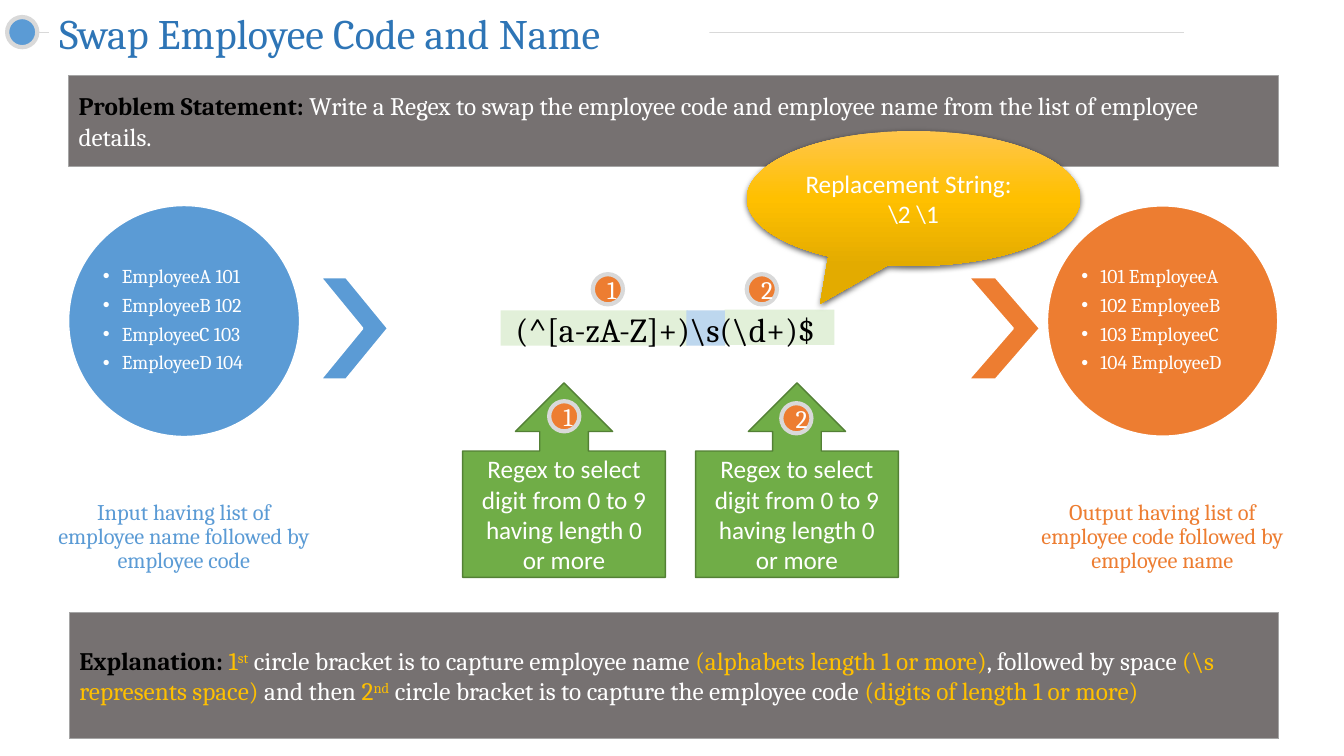
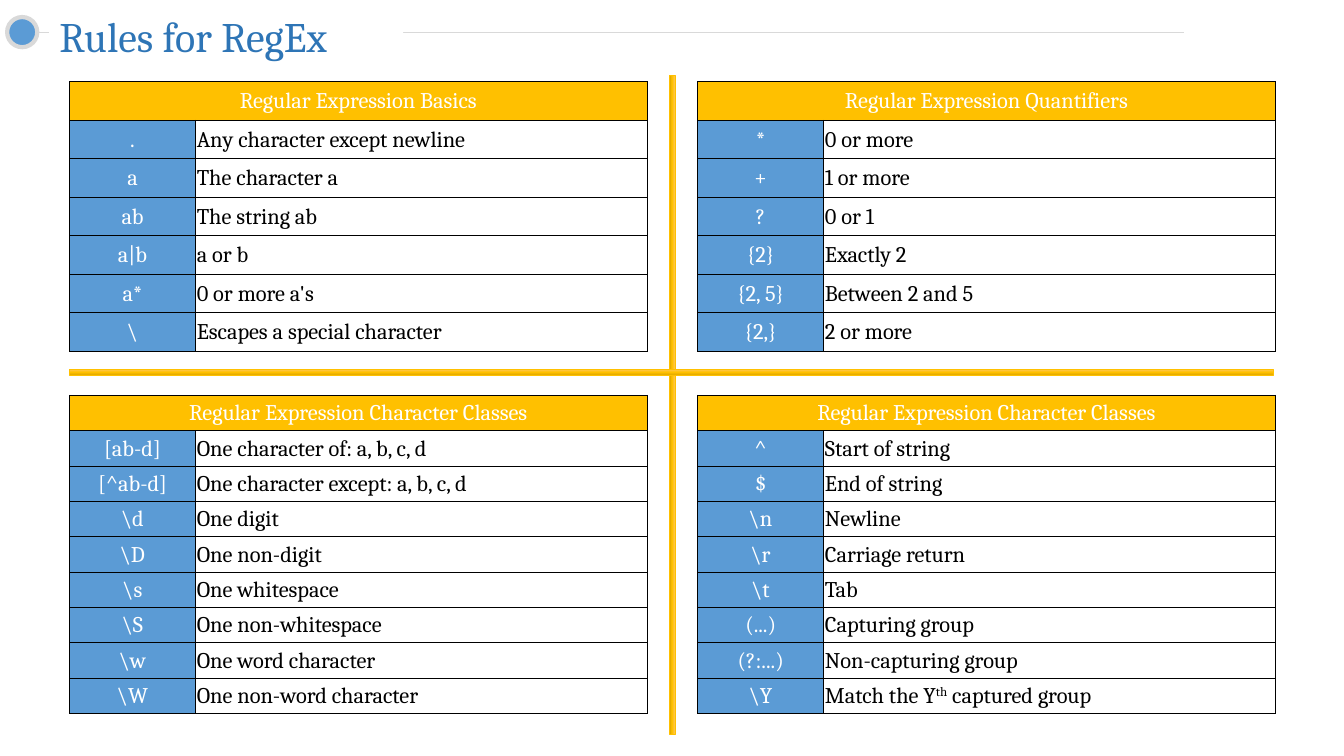
from copy import deepcopy

from lxml import etree
from pptx import Presentation
from pptx import util as u
from pptx.dml import color as dml
from pptx.enum import shapes, text
from pptx.oxml import ns

Cm, Pt = u.Cm, u.Pt
KIND, ALIGN, ANCHOR = shapes.MSO_SHAPE, text.PP_ALIGN, text.MSO_ANCHOR

COLORS = {
    "white": "FFFFFF", "black": "000000", "title": "2E75B6", "rule": "D9D9D9",
    "blue": "5B9BD5", "orange": "ED7D31", "gold": "FFC000", "green": "70AD47",
    "dark green": "538035", "band": "767171", "band line": "A5A5A5",
    "pale green": "E2F0D9", "pale blue": "BDD7EE",
    "light gold": "FFC64B", "deep gold": "E3AB00",
}
GOLD_STOPS = ((0, "light gold"), (0.5, "gold"), (1, "deep gold"))

BASICS = [(".", "Any character except newline"), ("a", "The character a"),
          ("ab", "The string ab"), ("a|b", "a or b"), ("a*", "0 or more a's"),
          ("\\", "Escapes a special character")]
QUANTIFIERS = [("*", "0 or more"), ("+", "1 or more"), ("?", "0 or 1"),
               ("{2}", "Exactly 2"), ("{2, 5}", "Between 2 and 5"), ("{2,}", "2 or more")]
CLASSES = [("[ab-d]", "One character of: a, b, c, d"),
           ("[^ab-d]", "One character except: a, b, c, d"),
           ("\\d", "One digit"), ("\\D", "One non-digit"),
           ("\\s", "One whitespace"), ("\\S", "One non-whitespace"),
           ("\\w", "One word character"), ("\\W", "One non-word character")]
ANCHORS = [("^", "Start of string"), ("$", "End of string"), ("\\n", "Newline"),
           ("\\r", "Carriage return"), ("\\t", "Tab"), ("(...)", "Capturing group"),
           ("(?:...)", "Non-capturing group"),
           ("\\Y", [("Match the Y", "black", ""), ("th", "black", "sup"),
                    (" captured group", "black", "")])]


def rgb(name):
    return dml.RGBColor.from_string(COLORS[name])


def put(obj, **values):
    for name, value in values.items():
        setattr(obj, name, value)


def cm(*lengths):
    return [Cm(v) for v in lengths]


class Deck:
    """Holds the shared style and the current slide, and draws elements on it."""

    def __init__(self):
        self.prs = Presentation()
        put(self.prs, slide_width=Cm(33.87), slide_height=Cm(19.05))
        self.s = None

    def slide(self, layout, title, box):
        self.s = self.prs.slides.add_slide(self.prs.slide_layouts[layout])
        self.rule()
        self.shape(KIND.OVAL, (0.18, 0.43, 0.76, 0.76), "blue", "rule", 3)
        sp = self.place(self.s.shapes.title, box)
        sp.fill.solid()
        sp.fill.fore_color.rgb = rgb("white")
        self.fill_text(sp.text_frame, [title], 30, "title", anchor=ANCHOR.TOP)

    def place(self, sp, box):
        put(sp, **dict(zip(("left", "top", "width", "height"), cm(*box))))
        sp.element.getparent().append(sp.element)
        return sp

    def rule(self):
        line = self.s.shapes.add_connector(
            shapes.MSO_CONNECTOR.STRAIGHT, *cm(0.81, 0.81, 29.85, 0.81))
        line.line.color.rgb = rgb("rule")
        line.line.width = Pt(0.5)
        etree.SubElement(line.element.spPr, ns.qn("a:effectLst"))

    def shape(self, kind, box, fill, line=None, width=1):
        sp = self.s.shapes.add_shape(kind, *cm(*box))
        sp.shadow.inherit = False
        if fill:
            sp.fill.solid()
            sp.fill.fore_color.rgb = rgb(fill)
        if line:
            sp.line.color.rgb = rgb(line)
            sp.line.width = Pt(width)
        else:
            sp.line.fill.background()
        return sp

    def gold(self, kind, box, angle, line=None):
        sp = self.shape(kind, box, None, line, 0.5)
        sp.fill.gradient()
        sp.fill.gradient_angle = angle
        stops = sp.element.spPr.find(".//" + ns.qn("a:gsLst"))
        stops.append(deepcopy(stops[0]))
        for stop, (position, name) in zip(sp.fill.gradient_stops, GOLD_STOPS):
            stop.color.rgb = rgb(name)
            stop.position = position
        return sp

    def drop_shadow(self, sp):
        effects = sp.element.spPr.find(ns.qn("a:effectLst"))
        shadow = etree.SubElement(effects, ns.qn("a:outerShdw"), blurRad=str(Pt(4.5)),
                                  dist=str(Pt(1.5)), dir="5400000", rotWithShape="0")
        tint = etree.SubElement(shadow, ns.qn("a:srgbClr"), val=COLORS["black"])
        etree.SubElement(tint, ns.qn("a:alpha"), val="63000")

    def fill_text(self, tf, paragraphs, size, color, font="Cambria", align=ALIGN.LEFT,
                  anchor=ANCHOR.MIDDLE, margin=None, **spacing):
        put(tf, word_wrap=True, auto_size=text.MSO_AUTO_SIZE.NONE, vertical_anchor=anchor)
        if margin is not None:
            put(tf, **{"margin_" + side: Cm(margin)
                       for side in ("left", "top", "right", "bottom")})
        for i, content in enumerate(paragraphs):
            p = tf.add_paragraph() if i else tf.paragraphs[0]
            put(p, alignment=align, **spacing)
            self.runs(p, content, size, color, font)

    def runs(self, p, content, size, color, font="Cambria"):
        if isinstance(content, str):
            content = [(content, color, "")]
        for words, name, style in content:
            r = p.add_run()
            r.text = words
            put(r.font, name=font, size=Pt(size), bold=style == "bold")
            r.font.color.rgb = rgb(name)
            if style == "sup":
                r._r.get_or_add_rPr().set("baseline", "30000")

    def label(self, box, words, size, color):
        sp = self.s.shapes.add_textbox(*cm(*box))
        self.fill_text(sp.text_frame, [words], size, color, align=ALIGN.CENTER,
                       margin=0.23, line_spacing=0.9)

    def band(self, box, content):
        sp = self.shape(KIND.RECTANGLE, box, "band", "band line", 0.5)
        self.fill_text(sp.text_frame, [content], 18, "white")

    def employees(self, index, left, color, width, items, caption):
        self.shape(KIND.OVAL, (left, 5.18, 5.82, 5.82), color, "white", width)
        sp = self.place(self.s.placeholders[index], (left + 0.86, 6.02, 4.11, 4.11))
        self.fill_text(sp.text_frame, items, 14, "white", margin=0, line_spacing=0.9,
                       space_before=Pt(0), space_after=Pt(5.4))
        for p in sp.text_frame.paragraphs:
            pPr = p._p.get_or_add_pPr()
            pPr.set("marL", str(Cm(0.48)))
            pPr.set("indent", str(Cm(-0.48)))
        self.label((left - 0.51, 11.84, 6.83, 3.4), caption, 16, color)

    def chevron(self, left, width, color):
        sp = self.shape(KIND.CHEVRON, (left, 6.99, width, 2.57), color, "white", 1.5)
        sp.adjustments[0] = 0.62

    def badge(self, left, top, number):
        sp = self.shape(KIND.OVAL, (left, top, 0.76, 0.76), "orange", "rule", 3)
        self.fill_text(sp.text_frame, [number], 18, "white", align=ALIGN.CENTER)

    def arrow_note(self, left, words):
        sp = self.shape(KIND.UP_ARROW_CALLOUT, (left, 9.65, 5.11, 4.9),
                        "green", "dark green")
        self.fill_text(sp.text_frame, [words], 18, "white", "Calibri", ALIGN.CENTER)

    def bubble(self, box, lines):
        sp = self.gold(KIND.OVAL_CALLOUT, box, 270)
        sp.adjustments[0], sp.adjustments[1] = -0.28, 0.78
        self.drop_shadow(sp)
        self.fill_text(sp.text_frame, lines, 18, "white", "Calibri")
        sp.text_frame.paragraphs[-1].alignment = ALIGN.CENTER

    def cell(self, cell, content, color, fill, align):
        put(cell, vertical_anchor=ANCHOR.MIDDLE, margin_left=Cm(0.03),
            margin_right=Cm(0.03), margin_top=Cm(0.03), margin_bottom=0)
        tcPr = cell._tc.get_or_add_tcPr()
        for side in "LRTB":
            ln = etree.SubElement(tcPr, ns.qn("a:ln" + side), w=str(Pt(0.5)))
            solid = etree.SubElement(ln, ns.qn("a:solidFill"))
            etree.SubElement(solid, ns.qn("a:srgbClr"), val=COLORS["black"])
        if fill:
            cell.fill.solid()
            cell.fill.fore_color.rgb = rgb(fill)
        else:
            cell.fill.background()
        p = cell.text_frame.paragraphs[0]
        p.alignment = align
        if content:
            self.runs(p, content, 16, color)

    def rules_table(self, left, top, row_height, heading, rows):
        table = self.s.shapes.add_table(
            len(rows) + 1, 2, *cm(left, top, 14.56, row_height * (len(rows) + 1))).table
        put(table, first_row=False, horz_banding=False)
        for column, width in zip(table.columns, cm(3.18, 11.38)):
            column.width = width
        for row in table.rows:
            row.height = Cm(row_height)
        table.cell(0, 0).merge(table.cell(0, 1))
        for col, words in enumerate((heading, "")):
            self.cell(table.cell(0, col), words, "white", "gold", ALIGN.CENTER)
        for i, (token, meaning) in enumerate(rows, 1):
            self.cell(table.cell(i, 0), token, "white", "blue", ALIGN.CENTER)
            self.cell(table.cell(i, 1), meaning, "black", None, ALIGN.LEFT)


def swap_slide(deck):
    deck.slide(3, "Swap Employee Code and Name", (1.24, 0.05, 16.64, 2.82))
    names = ["A 101", "B 102", "C 103", "D 104"]
    pairs = [("Employee" + n).split() for n in names]
    deck.employees(1, 1.73, "blue", 1, [f"{name} {code}" for name, code in pairs],
                   "Input having list of employee name followed by employee code")
    deck.employees(2, 26.39, "orange", 1.5, [f"{code} {name}" for name, code in pairs],
                   "Output having list of employee code followed by employee name")
    deck.band((1.73, 1.9, 30.48, 2.29), [
        ("Problem Statement: ", "black", "bold"),
        ("Write a Regex to swap the employee code and employee name from the list "
         "of employee details.", "white", "")])
    deck.band((1.75, 15.44, 30.48, 3.18), [
        ("Explanation: ", "black", "bold"),
        ("1", "gold", ""), ("st", "gold", "sup"),
        (" circle bracket is to capture employee name ", "white", ""),
        ("(alphabets length 1 or more)", "gold", ""),
        (", followed by space ", "white", ""),
        ("(\\s represents space)", "gold", ""),
        (" and then ", "white", ""),
        ("2", "gold", ""), ("nd", "gold", "sup"),
        (" circle bracket is to capture the employee code ", "white", ""),
        ("(digits of length 1 or more)", "gold", "")])
    for left in (11.66, 17.53):
        deck.arrow_note(left, "Regex to select digit from 0 to 9 having length 0 or more")
    for left, top, number in ((14.94, 6.91, "1"), (18.82, 6.91, "2"),
                              (13.84, 10.11, "1"), (19.69, 10.16, "2")):
        deck.badge(left, top, number)
    deck.chevron(8.08, 1.7, "blue")
    deck.chevron(24.41, 1.8, "orange")
    for left, top, width, color in ((12.62, 7.82, 4.72, "pale green"),
                                    (18.26, 7.8, 2.77, "pale green"),
                                    (17.3, 7.82, 0.97, "pale blue")):
        deck.shape(KIND.RECTANGLE, (left, top, width, 0.89), color)
    deck.bubble((18.82, 3.3, 8.41, 3.4), ["Replacement String:", "\\2 \\1"])
    deck.label((11.23, 6.25, 11.07, 4.22), "(^[a-zA-Z]+)\\s(\\d+)$", 24, "black")


def rules_slide(deck):
    deck.slide(5, "Rules for RegEx", (1.24, 0.13, 8.92, 1.55))
    deck.gold(KIND.RECTANGLE, (16.88, 1.89, 0.13, 16.61), 180, "gold")
    deck.gold(KIND.RECTANGLE, (1.75, 9.32, 30.33, 0.13), 270, "gold")
    classes = "Regular Expression Character Classes"
    grid = (((2.06, 0.97), (("Regular Expression Basics", BASICS),
                            ("Regular Expression Quantifiers", QUANTIFIERS))),
            ((9.96, 0.89), ((classes, CLASSES), (classes, ANCHORS))))
    for (top, row_height), tables in grid:
        for left, (heading, rows) in zip((1.75, 17.58), tables):
            deck.rules_table(left, top, row_height, heading, rows)


def main():
    deck = Deck()
    swap_slide(deck)
    rules_slide(deck)
    deck.prs.save("out.pptx")


if __name__ == "__main__":
    main()
